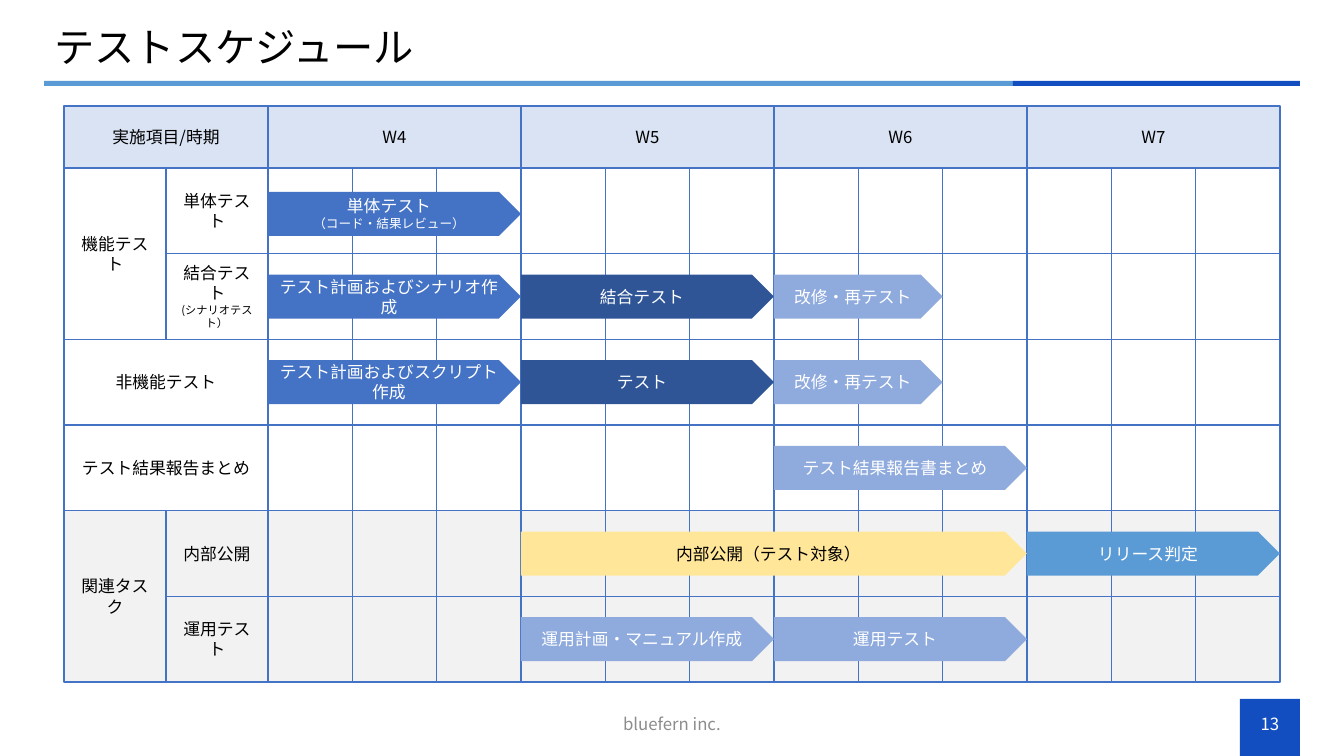
from dataclasses import dataclass

from pptx import Presentation
from pptx.dml.color import RGBColor
from pptx.enum.shapes import MSO_SHAPE as Shape
from pptx.enum.text import MSO_ANCHOR as Anchor, PP_ALIGN as Align
from pptx.oxml.ns import qn
from pptx.util import Pt


@dataclass(frozen=True)
class Theme:
    font: str = "Noto Sans CJK JP"
    black: str = "000000"
    white: str = "FFFFFF"
    footer_gray: str = "8C8C8C"
    related_gray: str = "F2F2F2"
    header_blue: str = "DAE3F3"
    plan_blue: str = "4472C4"
    test_blue: str = "2F5597"
    fix_blue: str = "8FAADC"
    release_blue: str = "5B9BD5"
    public_yellow: str = "FFE699"
    brand_blue: str = "134EC1"
    title_size: float = 28.8
    body_size: float = 12
    note_size: float = 9
    small_size: float = 8


THEME = Theme()

# Content
TITLE = "テストスケジュール"
FOOTER = "bluefern inc."
PAGE_NUMBER = "13"
CORNER = "実施項目/時期"
WEEKS = ["W4", "W5", "W6", "W7"]

# Label, first row, rows, first label column, label columns
LABELS = [
    ("機能テスト", 0, 2, 0, 1),
    ("単体テスト", 0, 1, 1, 1),
    ("結合テスト\n(シナリオテスト）", 1, 1, 1, 1),
    ("非機能テスト", 2, 1, 0, 2),
    ("テスト結果報告まとめ", 3, 1, 0, 2),
    ("関連タスク", 4, 2, 0, 1),
    ("内部公開", 4, 1, 1, 1),
    ("運用テスト", 5, 1, 1, 1),
]

# Label, row, first slot, slots, fill, text colour, downward shift in px
TASKS = [
    ("単体テスト\n（コード・結果レビュー）", 0, 0, 3, THEME.plan_blue, THEME.white, 3),
    ("テスト計画およびシナリオ作成", 1, 0, 3, THEME.plan_blue, THEME.white, 0),
    ("結合テスト", 1, 3, 3, THEME.test_blue, THEME.white, 0),
    ("改修・再テスト", 1, 6, 2, THEME.fix_blue, THEME.white, 0),
    ("テスト計画およびスクリプト作成", 2, 0, 3, THEME.plan_blue, THEME.white, 0),
    ("テスト", 2, 3, 3, THEME.test_blue, THEME.white, 0),
    ("改修・再テスト", 2, 6, 2, THEME.fix_blue, THEME.white, 0),
    ("テスト結果報告書まとめ", 3, 6, 3, THEME.fix_blue, THEME.white, 0),
    ("内部公開（テスト対象）", 4, 3, 6, THEME.public_yellow, THEME.black, 0),
    ("リリース判定", 4, 9, 3, THEME.release_blue, THEME.white, 0),
    ("運用計画・マニュアル作成", 5, 3, 3, THEME.fix_blue, THEME.white, 0),
    ("運用テスト", 5, 6, 3, THEME.fix_blue, THEME.white, 0),
]

# Layout in px
SLIDE_WIDTH, SLIDE_HEIGHT = 1344, 756
EMU_PER_PX = 914400 / 100.8
GRID_LEFT, HEADER_TOP, HEADER_HEIGHT = 64, 106, 62
LABEL_WIDTH, WEEK_WIDTH, SLOTS_PER_WEEK = 102, 253, 3
ROWS, FIRST_RELATED_ROW, ROWS_HEIGHT = 6, 4, 514
ARROW_HEIGHT = 44

ROW_HEIGHT = ROWS_HEIGHT / ROWS
ROWS_TOP = HEADER_TOP + HEADER_HEIGHT
WEEKS_LEFT = GRID_LEFT + 2 * LABEL_WIDTH
SLOT_WIDTH = WEEK_WIDTH / SLOTS_PER_WEEK


def px(length):
    return round(length * EMU_PER_PX)


def rgb(color):
    return RGBColor.from_string(color)


def write(holder, text, size=THEME.body_size, color=THEME.black,
          align=Align.CENTER, note_size=None, spacing=None):
    """Fill a text frame; lines after the first use note_size."""
    frame = holder.text_frame
    frame.word_wrap = True
    frame.vertical_anchor = Anchor.MIDDLE
    for index, line in enumerate(text.split("\n")):
        paragraph = frame.add_paragraph() if index else frame.paragraphs[0]
        paragraph.alignment = align
        paragraph.line_spacing = spacing
        run = paragraph.add_run()
        run.text = line
        font = run.font
        font.name = THEME.font
        font.size = Pt(note_size if index else size)
        font.color.rgb = rgb(color)
        east_asian = font._element.makeelement(qn("a:ea"), {"typeface": THEME.font})
        font._element.find(qn("a:latin")).addnext(east_asian)


def add_box(slide, box, fill, kind=Shape.RECTANGLE, line=None):
    shape = slide.shapes.add_shape(kind, *map(px, box))
    shape.shadow.inherit = False
    shape.fill.solid()
    shape.fill.fore_color.rgb = rgb(fill)
    if line:
        shape.line.color.rgb = rgb(line)
        shape.line.width = Pt(1)
    else:
        shape.line.fill.background()
    return shape


def add_cell(slide, box, fill):
    return add_box(slide, box, fill, line=THEME.plan_blue)


def row_top(row):
    return ROWS_TOP + row * ROW_HEIGHT


def row_fill(row):
    return THEME.related_gray if row >= FIRST_RELATED_ROW else THEME.white


def add_frame(slide):
    # Title, rules and footer
    add_box(slide, (1240, 699, 60, 57), THEME.brand_blue)
    add_box(slide, (44, 81, 969, 5), THEME.release_blue)
    add_box(slide, (1013, 81, 287, 5), THEME.brand_blue)
    title = slide.shapes.title
    title.left, title.top, title.width, title.height = map(px, (44, 21, 1256, 56))
    write(title, TITLE, size=THEME.title_size, align=Align.LEFT, spacing=0.9)
    footer = slide.shapes.add_textbox(*map(px, (445, 704, 454, 40)))
    write(footer, FOOTER, color=THEME.footer_gray)
    page = slide.shapes.add_textbox(*map(px, (1240, 704, 60, 40)))
    write(page, PAGE_NUMBER, color=THEME.white)


def add_schedule(slide):
    # Header
    corner = add_cell(slide, (GRID_LEFT, HEADER_TOP, 2 * LABEL_WIDTH, HEADER_HEIGHT),
                      THEME.header_blue)
    write(corner, CORNER)
    for index, week in enumerate(WEEKS):
        left = WEEKS_LEFT + index * WEEK_WIDTH
        header = add_cell(slide, (left, HEADER_TOP, WEEK_WIDTH, HEADER_HEIGHT),
                          THEME.header_blue)
        write(header, week)

    # Empty slots
    for row in range(ROWS):
        for slot in range(len(WEEKS) * SLOTS_PER_WEEK):
            left = WEEKS_LEFT + slot * SLOT_WIDTH
            add_cell(slide, (left, row_top(row), SLOT_WIDTH, ROW_HEIGHT), row_fill(row))

    # Row labels
    for text, row, rows, column, columns in LABELS:
        box = (GRID_LEFT + column * LABEL_WIDTH, row_top(row),
               columns * LABEL_WIDTH, rows * ROW_HEIGHT)
        write(add_cell(slide, box, row_fill(row)), text, note_size=THEME.small_size)

    # Task arrows
    for text, row, slot, slots, fill, color, shift in TASKS:
        top = row_top(row) + (ROW_HEIGHT - ARROW_HEIGHT) / 2 + shift
        box = (WEEKS_LEFT + slot * SLOT_WIDTH, top, slots * SLOT_WIDTH, ARROW_HEIGHT)
        arrow = add_box(slide, box, fill, kind=Shape.PENTAGON)
        write(arrow, text, color=color, note_size=THEME.note_size)


def main():
    deck = Presentation()
    deck.slide_width, deck.slide_height = px(SLIDE_WIDTH), px(SLIDE_HEIGHT)
    slide = deck.slides.add_slide(deck.slide_layouts[5])
    add_frame(slide)
    add_schedule(slide)
    deck.save("out.pptx")


if __name__ == "__main__":
    main()
